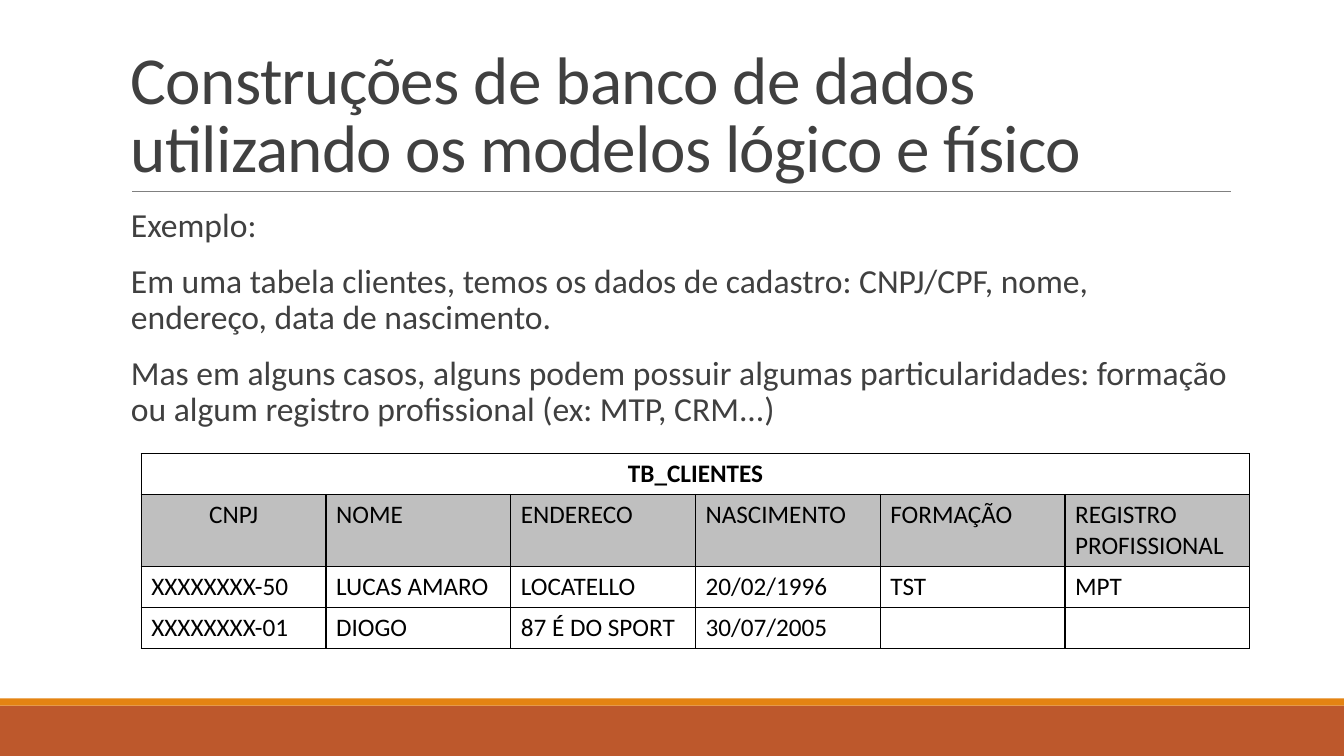
"""Build the slide on logical and physical database models."""
from dataclasses import dataclass
from typing import Any

from pptx import Presentation, oxml
from pptx import util as u
from pptx.dml import color
from pptx.enum import shapes, text
from pptx.oxml import ns

FONT = "Calibri"
GREY = "404040"
WIDE = 33.87
TITLE = "Construções de banco de dados utilizando os modelos lógico e físico"
BODY = [
    "Exemplo:",
    "Em uma tabela clientes, temos os dados de cadastro: CNPJ/CPF, nome, "
    "endereço, data de nascimento.",
    "Mas em alguns casos, alguns podem possuir algumas particularidades: "
    "formação ou algum registro profissional (ex: MTP, CRM...)",
]
ROWS = [
    ["TB_CLIENTES", "", "", "", "", ""],
    ["CNPJ", "NOME", "ENDERECO", "NASCIMENTO", "FORMAÇÃO", "REGISTRO PROFISSIONAL"],
    ["XXXXXXXX-50", "LUCAS AMARO", "LOCATELLO", "20/02/1996", "TST", "MPT"],
    ["XXXXXXXX-01", "DIOGO", "87 É DO SPORT", "30/07/2005", "", ""],
]
HEIGHTS = [1.03, 1.82, 1.03, 1.03]


@dataclass
class Box:
    """Hold a position and size in centimetres."""
    left: float
    top: float
    width: float
    height: float

    def place(self) -> list[u.Length]:
        """Return the four lengths."""
        return [u.Cm(n) for n in (self.left, self.top, self.width, self.height)]


@dataclass
class Bar:
    """Hold one footer band."""
    box: Box
    fill: str


BARS = [
    Bar(Box(0, 17.78, WIDE, 1.27), "BD582C"),
    Bar(Box(0, 17.6, WIDE, 0.18), "E48312"),
]


def rgb(code: str) -> color.RGBColor:
    """Turn a hex string into a colour."""
    return color.RGBColor.from_string(code)


def apply(item: Any, form: dict[str, Any]) -> None:
    """Set each format value on an object."""
    for name, value in form.items():
        setattr(item, name, value)


def style(font: Any, size: float, code: str, bold: bool = False) -> None:
    """Format a font."""
    apply(font, {"name": FONT, "size": u.Pt(size), "bold": bold})
    font.color.rgb = rgb(code)


def draw_bar(slide: Any, bar: Bar) -> None:
    """Draw a footer band."""
    shape = slide.shapes.add_shape(shapes.MSO_SHAPE.RECTANGLE, *bar.box.place())
    shape.shadow.inherit = False
    shape.fill.solid()
    shape.fill.fore_color.rgb = rgb(bar.fill)
    shape.line.fill.background()


def draw_rule(slide: Any) -> None:
    """Draw the line below the title."""
    ends = [u.Cm(n) for n in (3.33, 4.83, 31.01, 4.83)]
    rule = slide.shapes.add_connector(shapes.MSO_CONNECTOR.STRAIGHT, *ends)
    rule.line.width = u.Pt(0.5)
    rule.line.color.rgb = rgb("808080")
    ns_tag = ns.qn("a:effectLst")
    rule._element.spPr.append(rule._element.spPr.makeelement(ns_tag, {}))


def draw_text(slide: Any, box: Box, lines: list[str], size: float,
              frame: dict[str, Any], para: dict[str, Any]) -> Any:
    """Draw a text box and return its frame."""
    area = slide.shapes.add_textbox(*box.place()).text_frame
    apply(area, {"word_wrap": True, **frame})
    for i, line in enumerate(lines):
        item = area.paragraphs[0] if i == 0 else area.add_paragraph()
        apply(item, para)
        if i:
            item.space_before = u.Pt(12)
        run = item.add_run()
        run.text = line
        style(run.font, size, GREY)
    return area


def edge(cell: Any) -> None:
    """Give a cell thin black borders."""
    props = cell._tc.get_or_add_tcPr()
    for side in "LRTB":
        props.append(oxml.parse_xml(
            f'<a:ln{side} {ns.nsdecls("a")} w="12700"><a:solidFill>'
            f'<a:srgbClr val="000000"/></a:solidFill></a:ln{side}>'))


def draw_table(slide: Any, box: Box) -> None:
    """Draw the client table."""
    table = slide.shapes.add_table(len(ROWS), len(ROWS[0]), *box.place()).table
    for row, high in zip(table.rows, HEIGHTS):
        row.height = u.Cm(high)
    for r, words in enumerate(ROWS):
        for c, word in enumerate(words):
            cell = table.cell(r, c)
            edge(cell)
            cell.fill.solid()
            cell.fill.fore_color.rgb = rgb("BFBFBF" if r == 1 else "FFFFFF")
            item = cell.text_frame.paragraphs[0]
            if c == 0 and r < 2:
                item.alignment = text.PP_ALIGN.CENTER
            if word:
                run = item.add_run()
                run.text = word
                style(run.font, 18, "000000", r == 0)
    table.cell(0, 0).merge(table.cell(0, len(ROWS[0]) - 1))


def main() -> None:
    """Build and save the slide."""
    deck = Presentation()
    apply(deck, {"slide_width": u.Cm(WIDE), "slide_height": u.Cm(19.05)})
    slide = deck.slides.add_slide(deck.slide_layouts[6])
    for bar in BARS:
        draw_bar(slide, bar)
    draw_rule(slide)
    head = draw_text(slide, Box(3.05, 0.79, 27.94, 4.04), [TITLE], 48,
                     {"vertical_anchor": text.MSO_ANCHOR.BOTTOM},
                     {"line_spacing": 0.85})
    head.paragraphs[0].runs[0].font._element.set("spc", "-50")
    draw_text(slide, Box(3.05, 5.13, 27.94, 11.18), BODY, 24,
              {"margin_left": u.Cm(0.25), "margin_right": 0},
              {"line_spacing": 0.9, "space_after": u.Pt(2)})
    draw_table(slide, Box(3.56, 11.43, 27.94, sum(HEIGHTS)))
    deck.save("out.pptx")


if __name__ == "__main__":
    main()
